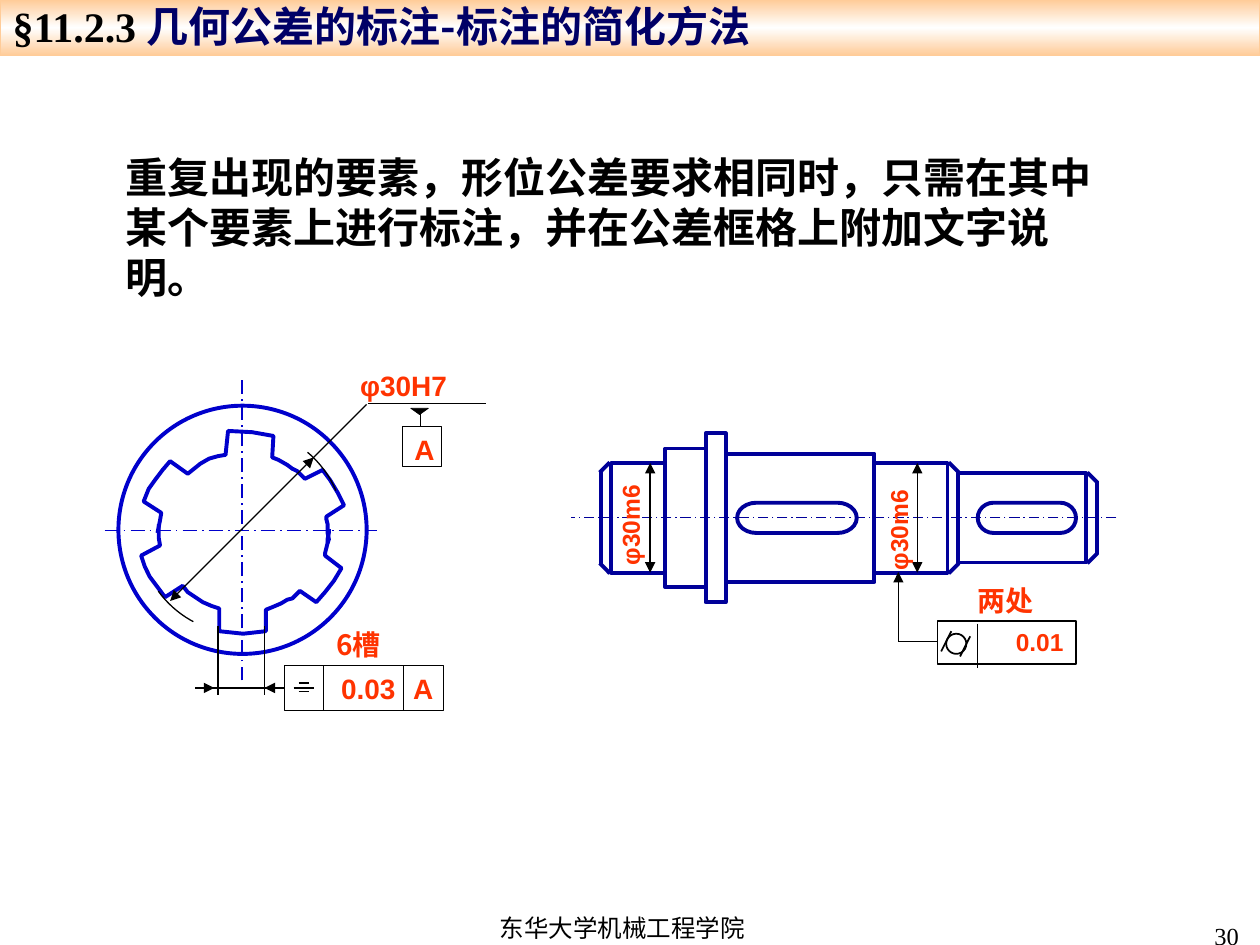
from copy import deepcopy

from lxml import etree
from pptx import Presentation
from pptx.dml.color import RGBColor
from pptx.enum.dml import MSO_LINE
from pptx.enum.shapes import MSO_CONNECTOR, MSO_SHAPE
from pptx.enum.text import MSO_ANCHOR, PP_ALIGN
from pptx.oxml.ns import qn
from pptx.util import Inches, Pt

CELL = Inches(0.01)
COLUMNS, ROWS = 1000, 750
BLACK = RGBColor(0x00, 0x00, 0x00)
WHITE = RGBColor(0xFF, 0xFF, 0xFF)
PEACH = RGBColor(0xFF, 0xCC, 0x99)
NAVY = RGBColor(0x00, 0x00, 0x66)
SHAFT_BLUE = RGBColor(0x00, 0x00, 0x99)
HUB_BLUE = RGBColor(0x00, 0x00, 0xCC)
RED = RGBColor(0xFF, 0x33, 0x00)
SANS, SERIF, CHINESE = "Arial", "Times New Roman", "Noto Sans CJK SC"
LEFT, CENTER, RIGHT = PP_ALIGN.LEFT, PP_ALIGN.CENTER, PP_ALIGN.RIGHT
TOP, MIDDLE = MSO_ANCHOR.TOP, MSO_ANCHOR.MIDDLE
RECT, OVAL, ARC = MSO_SHAPE.RECTANGLE, MSO_SHAPE.OVAL, MSO_SHAPE.ARC
TRIANGLE, KEYWAY = MSO_SHAPE.ISOSCELES_TRIANGLE, MSO_SHAPE.FLOWCHART_TERMINATOR
STRAIGHT, CENTRE_DASH = MSO_CONNECTOR.STRAIGHT, MSO_LINE.LONG_DASH_DOT
THICK, THIN, HAIR = 2.25, 0.75, 0.37

LOWER_SPLINE = [
    (-66, -5), (-66, 1), (-66, 6), (-65, 12), (-80, 20), (-77, 29), (-73, 37), (-67, 45),
    (-61, 53), (-47, 44), (-43, 49), (-37, 53), (-31, 57), (-24, 60), (-18, 62), (-18, 80),
    (1, 82), (19, 80), (19, 63), (24, 61), (31, 58), (36, 55), (40, 54), (43, 51), (46, 48),
    (59, 57), (66, 49), (73, 40), (79, 30), (66, 20), (66, 18), (67, 14), (68, 10), (68, 7),
    (69, 2), (69, -1)]
UPPER_SPLINE = [
    (-67, 2), (-66, -3), (-65, -8), (-64, -14), (-78, -23), (-74, -33), (-69, -40), (-63, -48),
    (-57, -55), (-43, -45), (-38, -49), (-33, -53), (-26, -57), (-19, -59), (-13, -60),
    (-11, -79), (8, -78), (25, -75), (24, -58), (29, -56), (36, -52), (40, -49), (44, -47),
    (47, -44), (50, -41), (64, -48), (70, -40), (76, -30), (81, -20), (67, -11), (67, -9),
    (68, -5), (68, -1), (68, 2), (69, 7), (68, 10)]


def set_font(font, name, size, color, bold=True):
    """Format a font for Latin and East Asian text."""
    font.name, font.size, font.bold = name, Pt(size), bold
    font.color.rgb = color
    etree.SubElement(font._rPr, qn("a:ea")).set("typeface", CHINESE)


class Region:
    """Draws parts in grid cells measured from a given origin."""

    def __init__(self, page, left, top):
        self.shapes, self.left, self.top = page.shapes, left, top

    def place(self, x, y, width, height):
        """Convert a box in cells to slide lengths."""
        return (self.left + x) * CELL, (self.top + y) * CELL, width * CELL, height * CELL

    def line(self, x1, y1, x2, y2, color=BLACK, weight=THIN, dash=None, head=False, tail=False):
        """Draw a straight line with optional arrowheads."""
        start, end = self.place(x1, y1, 0, 0)[:2], self.place(x2, y2, 0, 0)[:2]
        line = self.shapes.add_connector(STRAIGHT, *start, *end)
        line.line.color.rgb, line.line.width = color, Pt(weight)
        if dash:
            line.line.dash_style = dash
        for tag, wanted in (("a:headEnd", head), ("a:tailEnd", tail)):
            if wanted:
                etree.SubElement(line.line._get_or_add_ln(), qn(tag)).set("type", "triangle")
        etree.SubElement(line._element.spPr, qn("a:effectLst"))

    def shape(self, kind, box, color=BLACK, weight=THIN):
        """Draw an unfilled preset shape."""
        shape = self.shapes.add_shape(kind, *self.place(*box))
        shape.shadow.inherit = False
        shape.fill.background()
        shape.line.color.rgb, shape.line.width = color, Pt(weight)
        return shape

    def outline(self, points):
        """Draw an open outline through the points."""
        builder = self.shapes.build_freeform(*points[0], scale=CELL)
        builder.add_line_segments(points[1:], close=False)
        shape = builder.convert_to_shape(self.left * CELL, self.top * CELL)
        shape.shadow.inherit = False
        shape.fill.background()
        shape.line.color.rgb, shape.line.width = HUB_BLUE, Pt(THICK)

    def text(self, text, box, size, name=SANS, color=RED, align=LEFT, bold=True, anchor=TOP):
        """Add a wrapped text box."""
        label = self.shapes.add_textbox(*self.place(*box))
        write(label, text, size, name, color, align, bold, anchor)
        return label


def write(shape, text, size, name=SANS, color=RED, align=LEFT, bold=True, anchor=TOP):
    """Put one paragraph into a shape, without hanging punctuation."""
    frame = shape.text_frame
    frame.word_wrap, frame.vertical_anchor = True, anchor
    para = frame.paragraphs[0]
    para.text, para.alignment = text, align
    para._p.get_or_add_pPr().set("hangingPunct", "0")
    set_font(para.font, name, size, color, bold)


def draw_header(page, height):
    """Draw the gradient bar with the title over it."""
    title = page.shapes.title
    bar = Region(page, 0, 0).shape(RECT, (0, 0, COLUMNS, height), PEACH)
    bar.fill.gradient()
    bar.fill.gradient_angle = 90
    for stop, color, position in zip(bar.fill.gradient_stops, (PEACH, WHITE), (0, 0.5)):
        stop.color.rgb, stop.position = color, position
    stops = bar._element.spPr.find(qn("a:gradFill")).find(qn("a:gsLst"))
    last = deepcopy(stops[0])
    last.set("pos", "100000")
    stops.append(last)
    title._element.addprevious(bar._element)
    title.left, title.top, title.width, title.height = 0, 0, COLUMNS * CELL, height * CELL
    title.text_frame.vertical_anchor = TOP
    para = title.text_frame.paragraphs[0]
    para.alignment, para.line_spacing = LEFT, 0.9
    for text, name, color in (("§11.2.3 ", SERIF, BLACK),
                              ("几何公差的标注-标注的简化方法", CHINESE, NAVY)):
        span = para.add_run()
        span.text = text
        set_font(span.font, name, 24, color)


def draw_shaft(page, left, axis):
    """Draw the stepped shaft and its cylindricity frame about its axis."""
    area = Region(page, left, axis)
    area.line(436, 0, 3, 0, SHAFT_BLUE, THIN, CENTRE_DASH)
    x = 35
    for width, height, gap in ((43, 87, 0), (32, 110, 0), (16, 134, 0),
                               (118, 102, 0), (58, 87, 8), (102, 71, 0)):
        area.shape(RECT, (x, -height / 2, width, height), SHAFT_BLUE, THICK)
        x += width + gap
    for inner, outer, half in ((34, 26, 44), (303, 311, 44), (413, 421, 36)):
        for side in (-1, 1):
            area.line(inner, side * half, outer, side * (half - 8), SHAFT_BLUE, THICK)
    for x, half in ((27, 37), (421, 29)):
        area.line(x, -half, x, half, SHAFT_BLUE, THICK)
    for x, width in ((135, 95), (326, 78)):
        area.shape(KEYWAY, (x, -12, width, 24), SHAFT_BLUE, THICK)
    for x, label_x, label_y in ((66, -1, -21), (278, 212, -17)):
        area.line(x, -43.5, x, 43.5, head=True, tail=True)
        area.text("φ30m6", (label_x, label_y, 103, 34), 14).rotation = 270
    area.line(263, 43, 263, 98, head=True)
    area.line(263, 98, 294, 98)
    write(area.shape(RECT, (294, 82, 110, 34)), "0.01", 14, align=RIGHT)
    area.line(326, 84, 326, 119)
    area.shape(OVAL, (301, 92, 16, 16), weight=1)
    area.line(297, 106, 305, 90, weight=1)
    area.line(312, 110, 320, 94, weight=1)
    area.text("两处", (316, 47, 79, 37), 16)


def draw_hub(page, left, top):
    """Draw the splined hub and its dimensions about its centre."""
    area = Region(page, left, top)
    area.outline(LOWER_SPLINE)
    area.outline(UPPER_SPLINE)
    area.line(-109, 0, 107, 0, HUB_BLUE, 1, CENTRE_DASH)
    area.line(0, 119, 0, -120, HUB_BLUE, 1, CENTRE_DASH)
    area.shape(OVAL, (-98, -99, 197, 197), HUB_BLUE, THICK)
    for radius, start, end in ((81, -50, -23), (82, 118, 144)):
        arc = area.shape(ARC, (-radius, -radius, 2 * radius, 2 * radius))
        arc.adjustments[0], arc.adjustments[1] = start % 360 * 0.6, end % 360 * 0.6
    area.line(-57, 56, 57, -58, head=True, tail=True)
    area.line(56, -57, 99, -100)
    area.line(100, -101, 194, -101)
    area.text("φ30H7", (84, -133, 118, 37), 16)
    for x in (-19, 18):
        area.line(x, 76, x, 131)
    area.line(-29, 125, 26, 125)
    area.line(-37, 125, -22, 125, tail=True)
    area.line(18, 125, 34, 125, head=True)
    draw_symmetry_frame(area, 34, 107)
    draw_datum(area, 127, -97)


def draw_symmetry_frame(area, x, y):
    """Draw the symmetry tolerance frame and the note above it."""
    frame = area.shape(RECT, (x, y, 126, 36))
    write(frame, "0.03", 16, align=RIGHT, anchor=MIDDLE)
    frame.text_frame.margin_right = 38 * CELL
    area.text("A", (x + 92, y, 32, 36), 16, align=CENTER, anchor=MIDDLE)
    for divider in (31, 94):
        area.line(x + divider, y, x + divider, y + 36)
    for half, height in ((4, 14), (8, 18), (4, 21)):
        area.line(x + 15 - half, y + height, x + 15 + half, y + height)
    area.text("6槽", (x + 31, y - 35, 63, 37), 16, CHINESE)


def draw_datum(area, x, y):
    """Draw the datum triangle, its stem and its lettered box."""
    marker = area.shape(TRIANGLE, (x + 7, y, 14, 5), weight=HAIR)
    marker.rotation = 180
    marker.fill.solid()
    marker.fill.fore_color.rgb = BLACK
    write(area.shape(RECT, (x, y + 14, 31, 32), weight=HAIR), "A", 16, align=CENTER)
    area.line(x + 15, y + 2, x + 15, y + 15)


def draw_words(page):
    """Write the explanation, the footer and the page number."""
    area = Region(page, 0, 0)
    area.text("重复出现的要素，形位公差要求相同时，只需在其中某个要素上进行标注，并在公差框格上附加文字说明。",
              (90, 115, 796, 90), 24, CHINESE, BLACK)
    area.text("东华大学机械工程学院", (270, 720, 448, 30), 14, SERIF, BLACK, CENTER, False)
    area.text("30", (829, 726, 164, 24), 14, SERIF, BLACK, RIGHT, False)


def main():
    """Build the deck and save it."""
    deck = Presentation()
    deck.slide_width, deck.slide_height = COLUMNS * CELL, ROWS * CELL
    page = deck.slides.add_slide(deck.slide_layouts[5])
    draw_header(page, 44)
    draw_words(page)
    draw_shaft(page, 450, 411)
    draw_hub(page, 192, 421)
    deck.save("out.pptx")


if __name__ == "__main__":
    main()
